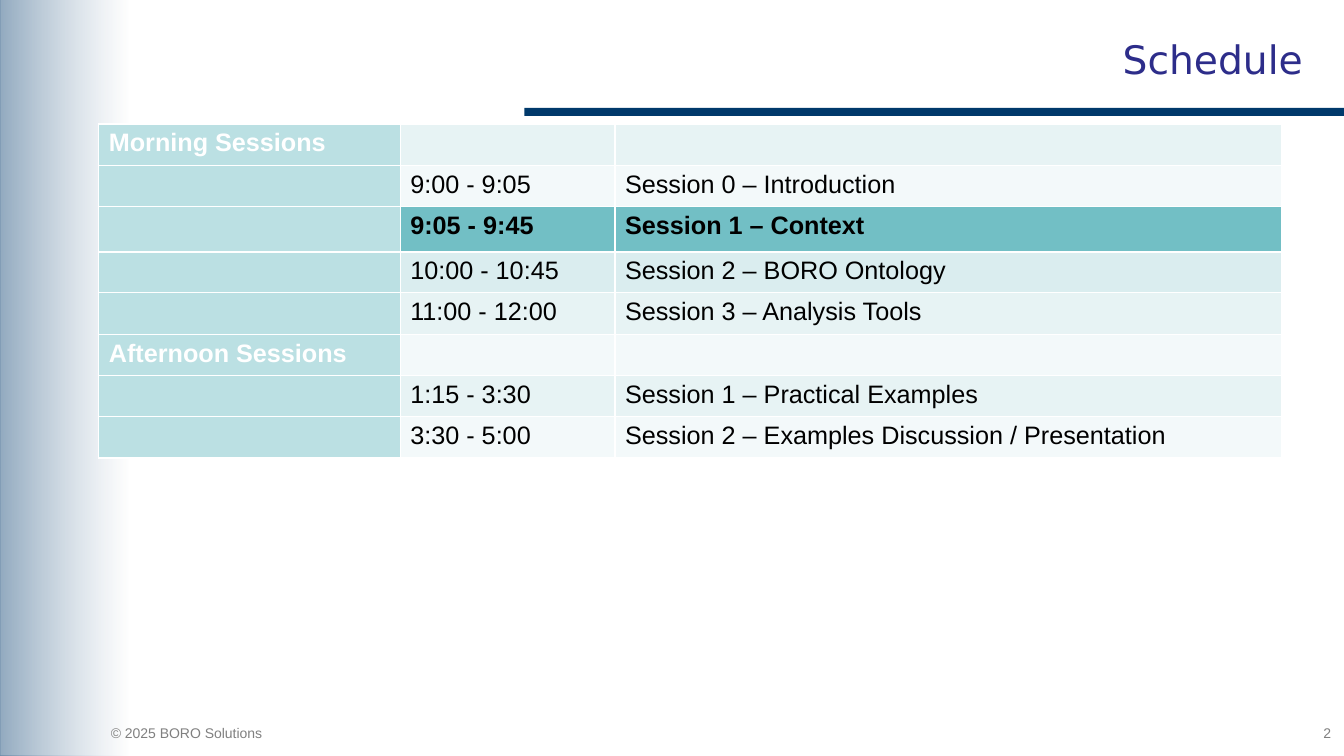
from lxml import etree
from pptx import Presentation
from pptx.dml.color import RGBColor
from pptx.enum.shapes import MSO_SHAPE
from pptx.enum.text import MSO_ANCHOR, PP_ALIGN
from pptx.oxml import parse_xml
from pptx.oxml.ns import nsdecls, qn
from pptx.util import Inches, Pt

NAVY = RGBColor(0x00, 0x39, 0x6B)
TITLE_BLUE = RGBColor(0x2D, 0x2D, 0x8A)
GREY = RGBColor(0x80, 0x80, 0x80)
WHITE = RGBColor(0xFF, 0xFF, 0xFF)
BLACK = RGBColor(0x00, 0x00, 0x00)
LABEL_TEAL = RGBColor(0xBB, 0xE0, 0xE3)
HIGHLIGHT = RGBColor(0x72, 0xBF, 0xC5)
AFTER_HIGHLIGHT = RGBColor(0xDA, 0xED, 0xEF)
BANDS = (RGBColor(0xE7, 0xF3, 0xF4), RGBColor(0xF3, 0xF9, 0xFA))

TITLE = "Schedule"
COPYRIGHT = "© 2025 BORO Solutions"
PAGE = "2"
SCHEDULE = [
    ("Morning Sessions", "", ""),
    ("", "9:00 - 9:05", "Session 0 – Introduction"),
    ("", "9:05 - 9:45", "Session 1 – Context"),
    ("", "10:00 - 10:45", "Session 2 – BORO Ontology"),
    ("", "11:00 - 12:00", "Session 3 – Analysis Tools"),
    ("Afternoon Sessions", "", ""),
    ("", "1:15 - 3:30", "Session 1 – Practical Examples"),
    ("", "3:30 - 5:00", "Session 2 – Examples Discussion / Presentation"),
]
CURRENT_ROW = 2
SPECIAL_FILLS = {CURRENT_ROW: HIGHLIGHT, CURRENT_ROW + 1: AFTER_HIGHLIGHT}
COLUMN_WIDTHS = (2.99, 2.13, 6.61)
ROW_HEIGHT = 0.41
SPECIAL_HEIGHTS = {CURRENT_ROW: 0.45, CURRENT_ROW + 1: 0.39}

SIDE_FILLS = (
    f'<a:gradFill {nsdecls("a")} rotWithShape="1"><a:gsLst>'
    '<a:gs pos="0"><a:srgbClr val="01396C"><a:alpha val="61000"/></a:srgbClr></a:gs>'
    '<a:gs pos="100000"><a:srgbClr val="FFFFFF"><a:alpha val="41000"/></a:srgbClr></a:gs>'
    '</a:gsLst><a:lin ang="5400000" scaled="0"/></a:gradFill>',
    f'<a:solidFill {nsdecls("a")}><a:srgbClr val="FFFFFF">'
    '<a:alpha val="30000"/></a:srgbClr></a:solidFill>',
)


def add_bar(s, box):
    bar = s.shapes.add_shape(MSO_SHAPE.RECTANGLE, *map(Inches, box))
    bar.shadow.inherit = False
    bar.line.fill.background()
    return bar


def style(p, font, size, color, bold=False):
    for r in p.runs:
        r.font.name = font
        r.font.size = Pt(size)
        r.font.color.rgb = color
        r.font.bold = bold


def add_footer(s, box, text, align):
    tf = s.shapes.add_textbox(*map(Inches, box)).text_frame
    tf.word_wrap = True
    tf.text = text
    tf.paragraphs[0].alignment = align
    style(tf.paragraphs[0], "Arial", 10, GREY)


def add_borders(cell):
    tcPr = cell._tc.get_or_add_tcPr()
    for side in ("lnL", "lnR", "lnT", "lnB"):
        ln = etree.SubElement(tcPr, qn(f"a:{side}"), w=str(Pt(1)))
        fill = etree.SubElement(ln, qn("a:solidFill"))
        etree.SubElement(fill, qn("a:srgbClr"), val=str(WHITE))


def add_schedule(s):
    heights = [SPECIAL_HEIGHTS.get(i, ROW_HEIGHT) for i in range(len(SCHEDULE))]
    table = s.shapes.add_table(
        len(SCHEDULE), len(COLUMN_WIDTHS), Inches(0.98), Inches(1.23),
        Inches(sum(COLUMN_WIDTHS)), Inches(sum(heights))).table
    table.first_row = table.horz_banding = False
    for column, width in zip(table.columns, COLUMN_WIDTHS):
        column.width = Inches(width)
    for i, texts in enumerate(SCHEDULE):
        table.rows[i].height = Inches(heights[i])
        for j, text in enumerate(texts):
            is_label = j == 0
            cell = table.cell(i, j)
            add_borders(cell)
            cell.fill.solid()
            cell.fill.fore_color.rgb = (
                LABEL_TEAL if is_label else SPECIAL_FILLS.get(i, BANDS[i % 2]))
            if text:
                cell.text_frame.text = text
                style(cell.text_frame.paragraphs[0], "Arial", 18,
                      WHITE if is_label else BLACK, is_label or i == CURRENT_ROW)


def main():
    prs = Presentation()
    prs.slide_width, prs.slide_height = Inches(13.33), Inches(7.5)
    s = prs.slides.add_slide(prs.slide_layouts[5])

    rule = add_bar(s, (5.2, 1.07, 8.13, 0.08))
    rule.fill.solid()
    rule.fill.fore_color.rgb = NAVY
    for fill in SIDE_FILLS:
        side = add_bar(s, (-3.11, 3.11, 7.5, 1.27))
        side.rotation = 270
        side._element.spPr.find(qn("a:prstGeom")).addnext(parse_xml(fill))

    title = s.shapes.title
    title.left, title.top = Inches(1.23), Inches(0.15)
    title.width, title.height = Inches(11.79), Inches(0.87)
    tf = title.text_frame
    tf.text = TITLE
    tf.vertical_anchor = MSO_ANCHOR.MIDDLE
    tf.paragraphs[0].alignment = PP_ALIGN.RIGHT
    style(tf.paragraphs[0], "DejaVu Sans", 28, TITLE_BLUE)

    add_schedule(s)
    add_footer(s, (1, 7.14, 2.52, 0.27), COPYRIGHT, PP_ALIGN.LEFT)
    add_footer(s, (12.02, 7.14, 1.28, 0.31), PAGE, PP_ALIGN.RIGHT)
    prs.save("out.pptx")


if __name__ == "__main__":
    main()
